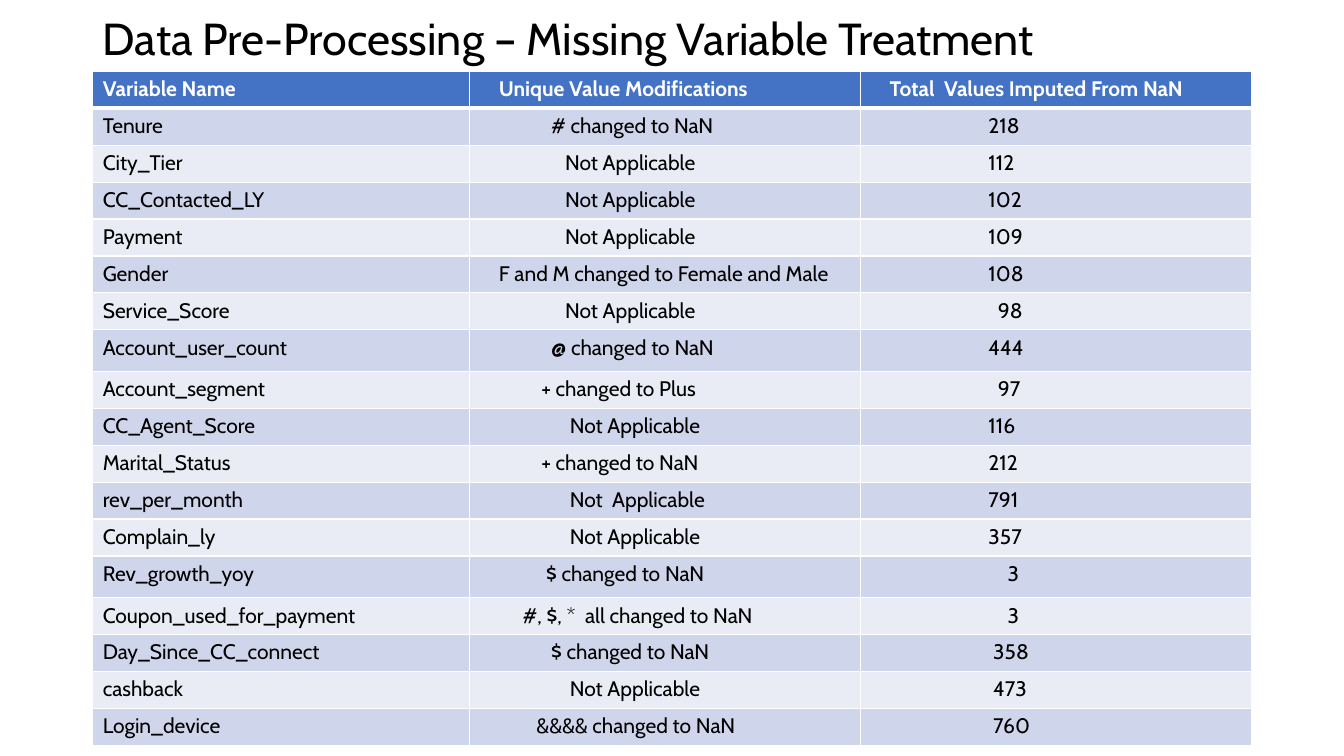
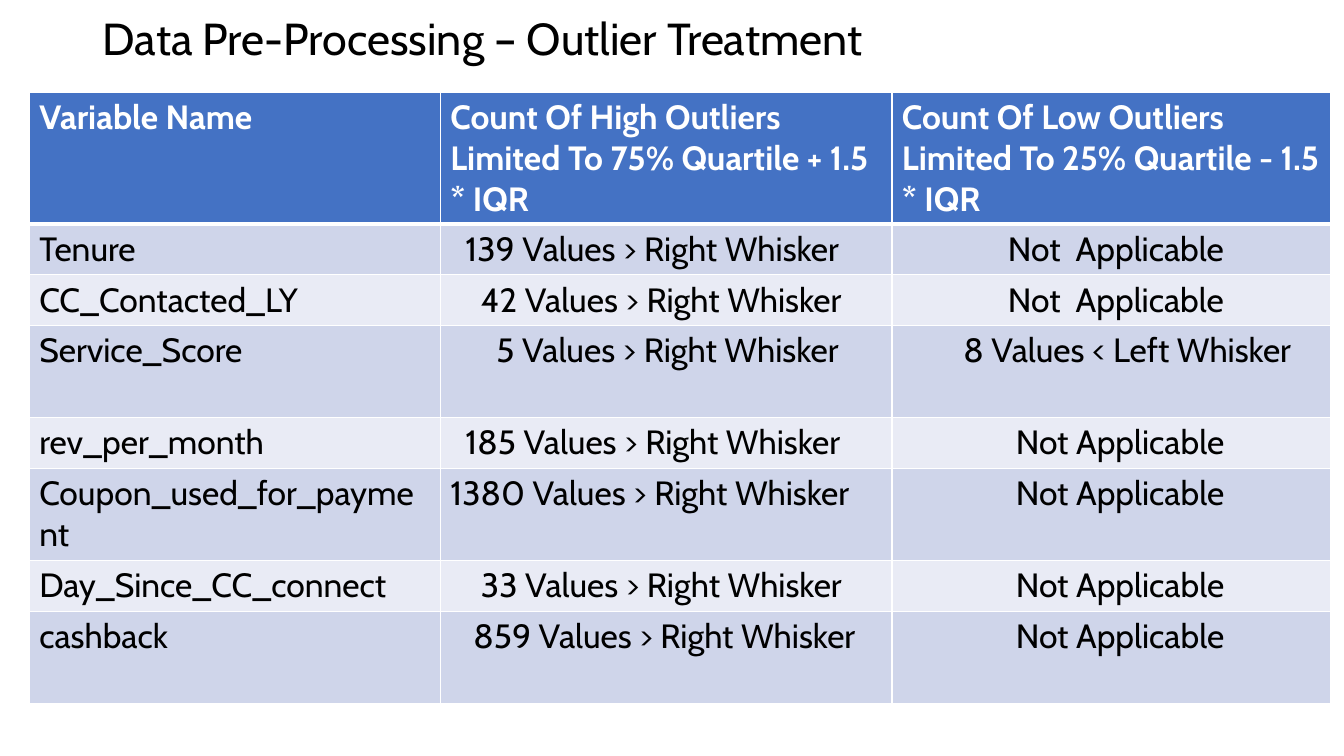
import lxml.etree
import pptx
import pptx.dml.color
import pptx.enum.text
import pptx.oxml.ns
import pptx.util

Cm = pptx.util.Cm
Pt = pptx.util.Pt

FONT = "Cabin"
BLACK, WHITE = "000000", "FFFFFF"
HEADER_FILL = "4472C4"
BAND_FILLS = ("CFD5EA", "E9EBF5")
TITLE_BOX = (2.34, 0, 29.21, 2.06)
PLAIN_INDENT = 0.25

# Each cell is its text, or a pair of text and left indent in cm
NOT_APPLICABLE = ("Not Applicable", 2.4)
NOT_APPLICABLE_WIDE = ("Not Applicable", 2.52)
MISSING_ROWS = [
    ("Variable Name", ("Unique Value Modifications", 0.73), ("Total  Values Imputed From NaN", 0.73)),
    ("Tenure", ("# changed to NaN", 2.05), ("218", 3.22)),
    ("City_Tier", NOT_APPLICABLE, ("112", 3.22)),
    ("CC_Contacted_LY", NOT_APPLICABLE, ("102", 3.22)),
    ("Payment", NOT_APPLICABLE, ("109", 3.22)),
    ("Gender", ("F and M changed to Female and Male", 0.73), ("108", 3.22)),
    ("Service_Score", NOT_APPLICABLE, ("98", 3.46)),
    ("Account_user_count", ("@ changed to NaN", 2.05), ("444", 3.22)),
    ("Account_segment", ("+ changed to Plus", 1.8), ("97", 3.46)),
    ("CC_Agent_Score", NOT_APPLICABLE_WIDE, ("116", 3.22)),
    ("Marital_Status", ("+ changed to NaN", 1.8), ("212", 3.22)),
    ("rev_per_month", ("Not  Applicable", 2.52), ("791", 3.22)),
    ("Complain_ly", NOT_APPLICABLE_WIDE, ("357", 3.22)),
    ("Rev_growth_yoy", ("$ changed to NaN", 1.92), ("3", 3.7)),
    ("Coupon_used_for_payment", ("#, $, *  all changed to NaN", 1.33), ("3", 3.7)),
    ("Day_Since_CC_connect", ("$ changed to NaN", 2.05), ("358", 3.34)),
    ("cashback", NOT_APPLICABLE_WIDE, ("473", 3.34)),
    ("Login_device", ("&&&& changed to NaN", 1.68), ("760", 3.34)),
]

NO_LOW_OUTLIERS = ("Not Applicable", 3.12)
OUTLIER_ROWS = [
    ("Variable Name",
     "Count Of High Outliers Limited To 75% Quartile + 1.5 * IQR",
     "Count Of Low Outliers Limited To 25% Quartile - 1.5 * IQR"),
    ("Tenure", ("139 Values > Right Whisker", 0.63), ("Not  Applicable", 2.92)),
    ("CC_Contacted_LY", ("42 Values > Right Whisker", 1.02), ("Not  Applicable", 2.92)),
    ("Service_Score", ("5 Values > Right Whisker", 1.41), ("8 Values < Left Whisker", 1.8)),
    ("rev_per_month", ("185 Values > Right Whisker", 0.63), NO_LOW_OUTLIERS),
    ("Coupon_used_for_payment", "1380 Values > Right Whisker", NO_LOW_OUTLIERS),
    ("Day_Since_CC_connect", ("33 Values > Right Whisker", 1.02), NO_LOW_OUTLIERS),
    ("cashback", ("859 Values > Right Whisker", 0.83), NO_LOW_OUTLIERS),
]


def color(hex_string):
    return pptx.dml.color.RGBColor.from_string(hex_string)


def format_text(paragraph, size, hex_string, bold=False):
    for run in paragraph.runs:
        run.font.name = FONT
        run.font.size = Pt(size)
        run.font.bold = bold
        run.font.color.rgb = color(hex_string)


def set_borders(cell, top, bottom):
    """Give a cell white edges, with widths in points."""
    qualified = pptx.oxml.ns.qn
    properties = cell._tc.get_or_add_tcPr()
    for position, (edge, width) in enumerate((("L", 1), ("R", 1), ("T", top), ("B", bottom))):
        line = lxml.etree.Element(qualified("a:ln" + edge), w=str(Pt(width)))
        fill = lxml.etree.SubElement(line, qualified("a:solidFill"))
        lxml.etree.SubElement(fill, qualified("a:srgbClr"), val=WHITE)
        properties.insert(position, line)


def add_title(slide, text, box):
    shape = slide.shapes.add_textbox(*map(Cm, box))
    text_frame = shape.text_frame
    text_frame.word_wrap = True
    text_frame.vertical_anchor = pptx.enum.text.MSO_ANCHOR.MIDDLE
    text_frame.text = text
    paragraph = text_frame.paragraphs[0]
    paragraph.line_spacing = 0.9
    format_text(paragraph, 32, BLACK)


def fill_cell(cell, content, row_index, size):
    text, indent = (content, PLAIN_INDENT) if isinstance(content, str) else content
    header = row_index == 0
    cell.text_frame.text = text
    cell.margin_left = Cm(indent)
    format_text(cell.text_frame.paragraphs[0], size, WHITE if header else BLACK, header)
    cell.fill.solid()
    cell.fill.fore_color.rgb = color(HEADER_FILL if header else BAND_FILLS[(row_index - 1) % 2])
    set_borders(cell, top=3 if row_index == 1 else 1, bottom=3 if header else 1)


def add_data_table(slide, rows, left, top, widths, heights, size):
    frame = slide.shapes.add_table(len(rows), len(widths), Cm(left), Cm(top),
                                   Cm(sum(widths)), Cm(sum(heights)))
    table = frame.table
    table.horz_banding = False
    for column, width in zip(table.columns, widths):
        column.width = Cm(width)
    for row_index, (row, height, contents) in enumerate(zip(table.rows, heights, rows)):
        row.height = Cm(height)
        for cell, content in zip(row.cells, contents):
            fill_cell(cell, content, row_index, size)


def add_table_slide(presentation, title, **table_options):
    slide = presentation.slides.add_slide(presentation.slide_layouts[6])
    add_title(slide, title, TITLE_BOX)
    add_data_table(slide, **table_options)


def main():
    presentation = pptx.Presentation()
    presentation.slide_width = Cm(33.87)
    presentation.slide_height = Cm(19.05)

    # Missing values: two rows are slightly taller
    add_table_slide(
        presentation, "Data Pre-Processing – Missing Variable Treatment",
        rows=MISSING_ROWS, left=2.34, top=1.8, widths=(9.5, 9.85, 9.85),
        heights=[1.05 if index in (7, 13) else 0.93 for index in range(len(MISSING_ROWS))],
        size=15)

    # Outliers: tall header, some rows two lines high
    single, double = 1.28, 2.32
    add_table_slide(
        presentation, "Data Pre-Processing – Outlier Treatment",
        rows=OUTLIER_ROWS, left=0.74, top=2.32, widths=(10.36, 11.38, 11.05),
        heights=[3.32, single, single, double, single, double, single, double],
        size=24)

    presentation.save("out.pptx")


if __name__ == "__main__":
    main()
